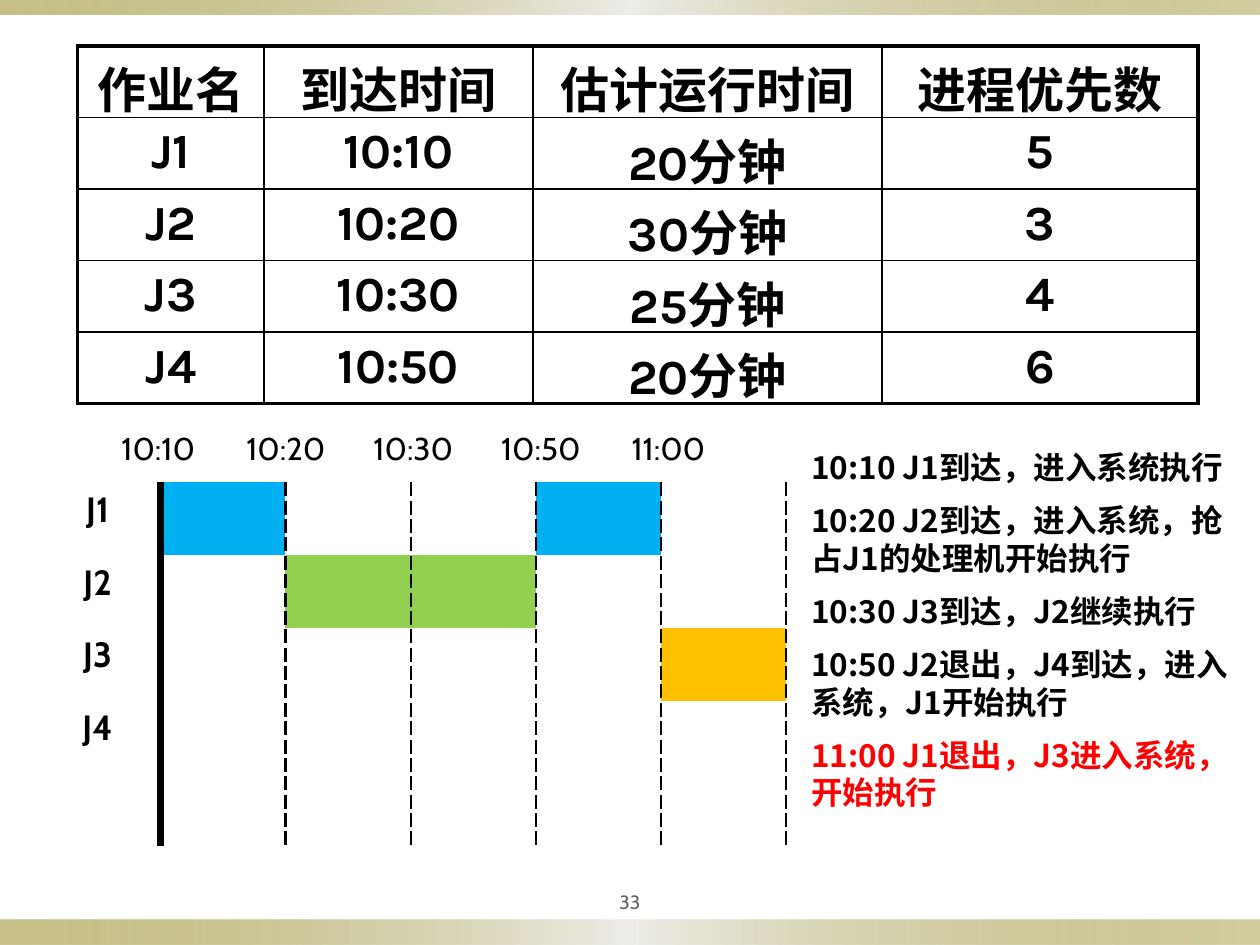
from lxml.etree import SubElement
from pptx import Presentation
from pptx.dml.color import RGBColor
from pptx.enum.shapes import MSO_SHAPE
from pptx.enum.text import MSO_ANCHOR, PP_ALIGN
from pptx.oxml import parse_xml
from pptx.oxml.ns import nsdecls, qn
from pptx.util import Pt

JOBS = [
    ("作业名", "到达时间", "估计运行时间", "进程优先数"),
    ("J1", "10:10", "20分钟", "5"),
    ("J2", "10:20", "30分钟", "3"),
    ("J3", "10:30", "25分钟", "4"),
    ("J4", "10:50", "20分钟", "6"),
]
TIMES = ["10:10", "10:20", "10:30", "10:50", "11:00", "", ""]
LANES = ["J1", "J2", "J3", "J4", ""]
RUNS = {(0, 1): "00B0F0", (0, 4): "00B0F0", (1, 2): "92D050",
        (1, 3): "92D050", (2, 5): "FFC000"}
NOTES = [
    ("10:10 J1到达，进入系统执行", "000000"),
    ("10:20 J2到达，进入系统，抢占J1的处理机开始执行", "000000"),
    ("10:30 J3到达，J2继续执行", "000000"),
    ("10:50 J2退出，J4到达，进入系统，J1开始执行", "000000"),
    ("11:00 J1退出，J3进入系统，开始执行", "FF0000"),
]
PAGE = "33"
BARS = [(525.6, 14.4), (0, 8.6)]
STOPS = [(0, "918415", 50), (50, "EEEDE8", 100), (100, "918415", 40)]

HEAD = {"name": "Karla", "size": Pt(28), "bold": True}
TIME = {"name": "Cabin", "size": Pt(18), "bold": False}
LANE = {"name": "Cabin", "size": Pt(20), "bold": True}
NOTE = {"name": "Noto Sans CJK SC", "size": Pt(18), "bold": True}
FOOT = {"name": "Cabin", "size": Pt(11), "bold": False}
THICK, THIN = (2.25, "solid"), (1, "solid")
START, DASH = (4.5, "solid"), (1.5, "sysDash")


def tint(color):
    return RGBColor.from_string(color)


def style(obj, form):
    for key, val in form.items():
        setattr(obj, key, val)


def write(para, text, form, color="000000", **lay):
    style(para, lay)
    run = para.add_run()
    run.text = text
    style(run.font, form)
    run.font.color.rgb = tint(color)


def edge(cell, side, line):
    width, dash = line or (0, None)
    item = SubElement(cell._tc.get_or_add_tcPr(), qn("a:ln" + side), w=str(Pt(width)))
    if not line:
        SubElement(item, qn("a:noFill"))
        return
    fill = SubElement(item, qn("a:solidFill"))
    SubElement(fill, qn("a:srgbClr"), val="000000")
    SubElement(item, qn("a:prstDash"), val=dash)


def grid(slide, left, top, cols, high, data, form, across, down, fills):
    count = len(data)
    table = slide.shapes.add_table(count, len(cols), Pt(left), Pt(top),
                                   Pt(sum(cols)), Pt(high * count)).table
    style(table, {"first_row": False, "horz_banding": False})
    for col, width in zip(table.columns, cols):
        col.width = Pt(width)
    for r, line in enumerate(data):
        table.rows[r].height = Pt(high)
        for c, text in enumerate(line):
            cell = table.cell(r, c)
            sides = {"L": down[c], "R": down[c + 1], "T": across[r], "B": across[r + 1]}
            for side, rule in sides.items():
                edge(cell, side, rule)
            if (r, c) in fills:
                cell.fill.solid()
                cell.fill.fore_color.rgb = tint(fills[r, c])
            else:
                cell.fill.background()
            para = cell.text_frame.paragraphs[0]
            if text:
                write(para, text, form, alignment=PP_ALIGN.CENTER)
            else:
                para.font.size = form["size"]


def bar(slide, top, high):
    shape = slide.shapes.add_shape(MSO_SHAPE.RECTANGLE, 0, Pt(top), Pt(720), Pt(high))
    shape.shadow.inherit = False
    shape.line.fill.background()
    stops = "".join(
        f'<a:gs pos="{pos * 1000}"><a:srgbClr val="{color}">'
        f'<a:alpha val="{alpha * 1000}"/></a:srgbClr></a:gs>'
        for pos, color, alpha in STOPS)
    fill = parse_xml(f'<a:gradFill {nsdecls("a")}><a:gsLst>{stops}</a:gsLst>'
                     '<a:lin ang="0" scaled="0"/></a:gradFill>')
    shape._element.spPr.find(qn("a:prstGeom")).addnext(fill)


def box(slide, left, top, width, high, **form):
    frame = slide.shapes.add_textbox(Pt(left), Pt(top), Pt(width), Pt(high)).text_frame
    style(frame, {"word_wrap": True, **form})
    return frame


def main():
    deck = Presentation()
    style(deck, {"slide_width": Pt(720), "slide_height": Pt(540)})
    slide = deck.slides.add_slide(deck.slide_layouts[6])
    for top, high in BARS:
        bar(slide, top, high)

    foot = box(slide, 324, 504, 72, 22.3, vertical_anchor=MSO_ANCHOR.MIDDLE)
    write(foot.paragraphs[0], PAGE, FOOT, "636363", alignment=PP_ALIGN.CENTER)

    grid(slide, 44.4, 26.2, [106.4, 153.8, 199.4, 180.6], 40.8, JOBS, HEAD,
         [THICK] + [THIN] * 4 + [THICK], [THICK] + [THIN] * 3 + [THICK], {})
    grid(slide, 54, 242, [72.9] * 7, 28.4, [TIMES], TIME, [None] * 2, [None] * 8, {})
    grid(slide, 20, 275.6, [71.55] * 8, 41.6, [[lane] + [""] * 7 for lane in LANES],
         LANE, [None] * 6, [None, START] + [DASH] * 5 + [None] * 2, RUNS)

    notes = box(slide, 456.5, 252.7, 254.9, 225.4)
    for i, (text, color) in enumerate(NOTES):
        para = notes.add_paragraph() if i else notes.paragraphs[0]
        write(para, text, NOTE, color, space_before=Pt(9 if i else 0),
              line_spacing=Pt(21.4))

    deck.save("out.pptx")


if __name__ == "__main__":
    main()
